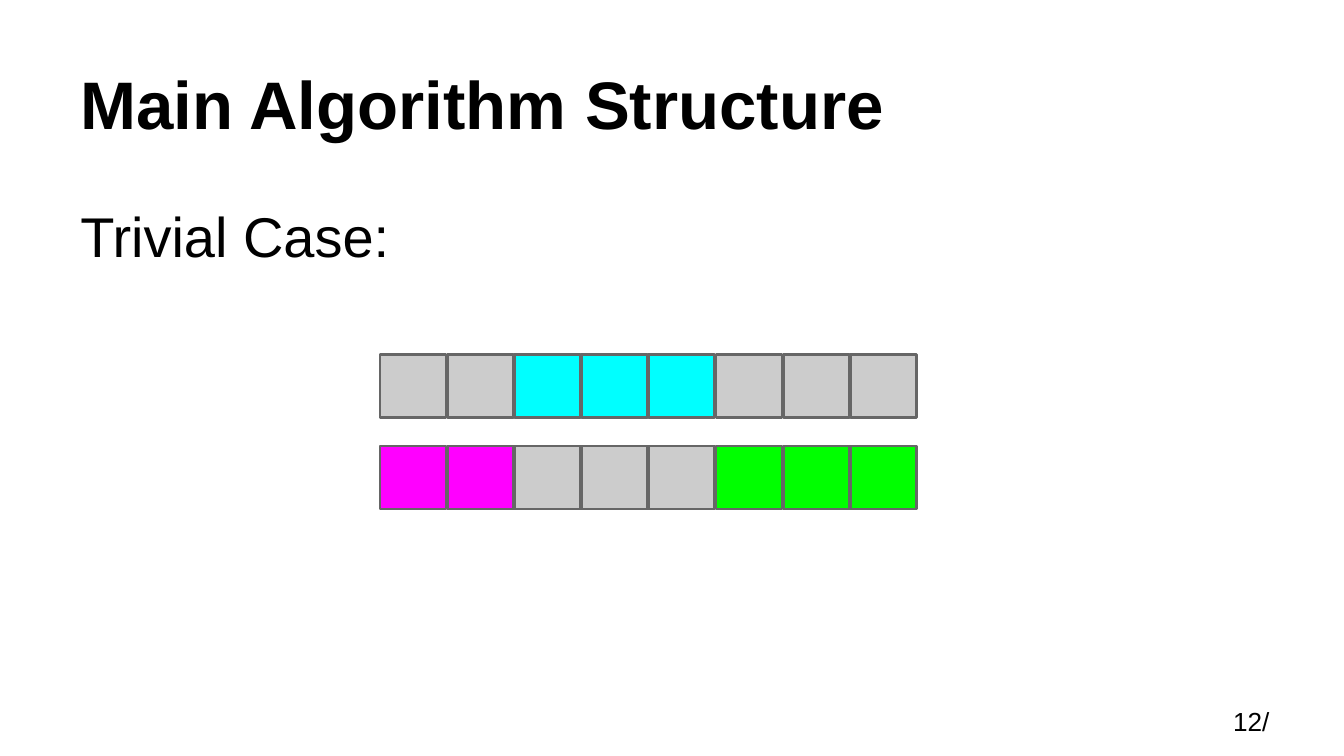
"""Build the trivial case slide of the main algorithm structure."""
from pptx import Presentation
from pptx.dml.color import RGBColor
from pptx.enum import shapes, text
from pptx.util import Pt

TEXTS = [
    ("Main Algorithm Structure", "title", (36, 16.5, 648, 67.5)),
    ("Trivial Case:", "body", (36, 100.6, 648, 62)),
    ("12/", "page", (653.5, 370.6, 65.5, 33.8)),
]
ROWS = [
    (239, [("left", 2), ("plain", 3), ("right", 3)]),
    (189.9, [("plain", 2), ("middle", 3), ("plain", 3)]),
]
THEME = {
    "font": "Arial",
    "ink": "000000",
    "line": "666666",
    "plain": "CCCCCC",
    "left": "FF00FF",
    "middle": "00FFFF",
    "right": "00FF00",
    "title": {"size": Pt(36), "bold": True},
    "body": {"size": Pt(30), "bold": False},
    "page": {"size": Pt(14), "bold": False},
}
ANCHOR = {"title": text.MSO_ANCHOR.BOTTOM}
INSET = Pt(7.2)
START, PITCH, WIDTH, HEIGHT = 203.55, 36, 35.4, 33.7


def color(name):
    return RGBColor.from_string(THEME[name])


def apply(target, values):
    for name, value in values.items():
        setattr(target, name, value)


def add_text(slide, words, role, box):
    frame = slide.shapes.add_textbox(*map(Pt, box)).text_frame
    apply(frame, {
        "word_wrap": True,
        "vertical_anchor": ANCHOR.get(role, text.MSO_ANCHOR.TOP),
        "margin_left": INSET,
        "margin_top": INSET,
        "margin_right": INSET,
        "margin_bottom": INSET,
    })
    run = frame.paragraphs[0].add_run()
    run.text = words
    apply(run.font, {"name": THEME["font"], **THEME[role]})
    run.font.color.rgb = color("ink")


def add_row(slide, top, groups):
    fills = [fill for fill, count in groups for _ in range(count)]
    for index, fill in enumerate(fills):
        box = (START + index * PITCH, top, WIDTH, HEIGHT)
        cell = slide.shapes.add_shape(
            shapes.MSO_SHAPE.RECTANGLE, *map(Pt, box))
        cell.shadow.inherit = False
        cell.fill.solid()
        cell.fill.fore_color.rgb = color(fill)
        cell.line.color.rgb = color("line")
        cell.line.width = Pt(1.5)


def main():
    deck = Presentation()
    apply(deck, {"slide_width": Pt(720), "slide_height": Pt(405)})
    slide = deck.slides.add_slide(deck.slide_layouts[6])
    for item in TEXTS:
        add_text(slide, *item)
    for row in ROWS:
        add_row(slide, *row)
    deck.save("out.pptx")


if __name__ == "__main__":
    main()
